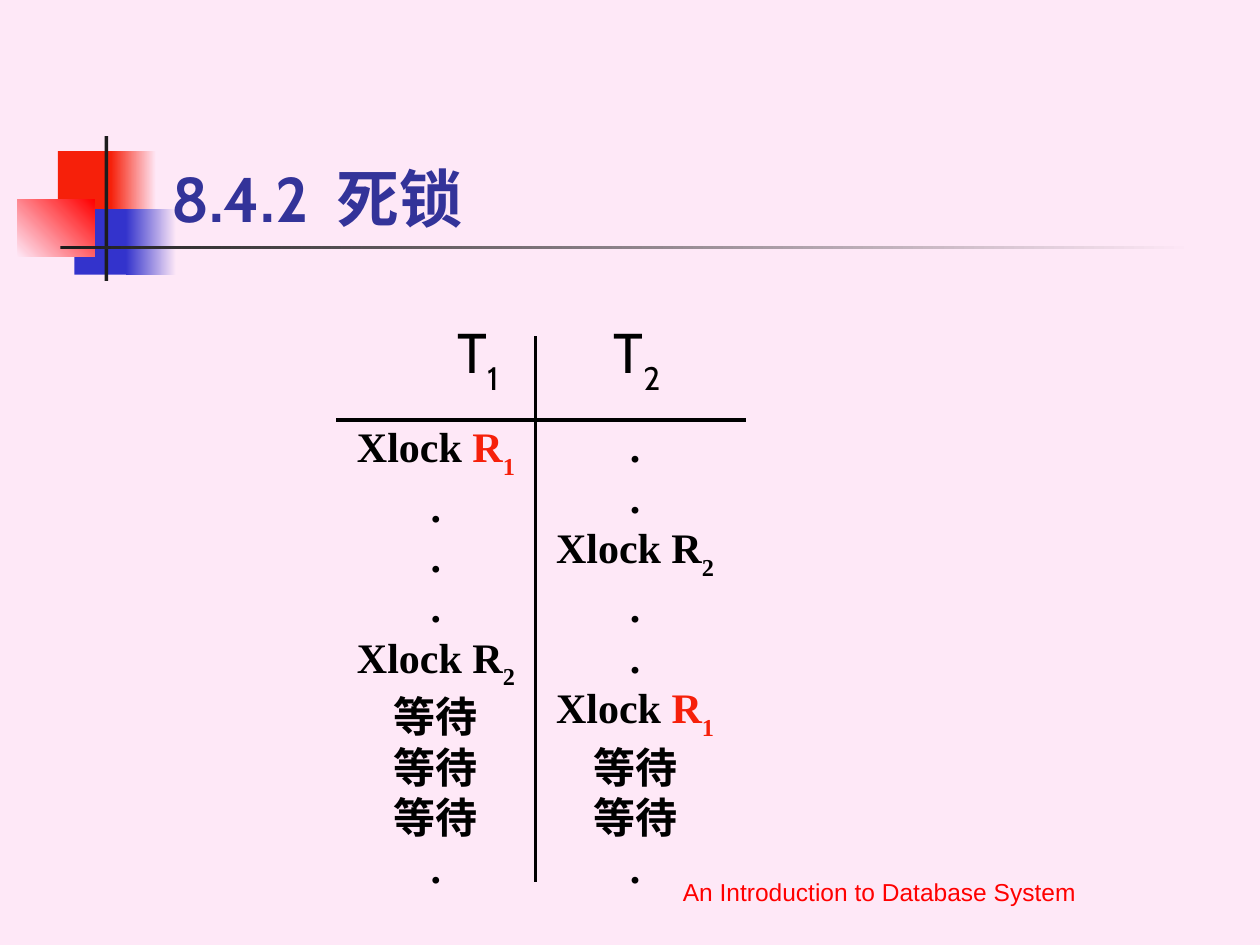
from lxml.etree import SubElement
from pptx import Presentation
from pptx.dml.color import RGBColor
from pptx.enum.shapes import MSO_CONNECTOR, MSO_SHAPE
from pptx.enum.text import MSO_ANCHOR, MSO_AUTO_SIZE, PP_ALIGN
from pptx.oxml.ns import qn
from pptx.util import Inches, Pt

PINK = RGBColor(0xFE, 0xE8, 0xF7)
RED = RGBColor(0xF6, 0x20, 0x0A)
PURE = RGBColor(0xFF, 0, 0)
BLUE = RGBColor(0x33, 0x33, 0xCC)
NAVY = RGBColor(0x33, 0x33, 0x99)
DARK = RGBColor(0x1C, 0x1C, 0x1C)
BLACK = RGBColor(0, 0, 0)

TITLE = "8.4.2  死锁"
FOOT = "An Introduction to Database System"
DOT = [(".", BLACK, False)]
WAIT = [("等待", BLACK, False)]


def lock(num, tint=BLACK):
    return [("Xlock ", BLACK, False), ("R", tint, False), (num, tint, True)]


HEADS = [("T", BLACK, False), ("1", BLACK, True),
         ("\tT", BLACK, False), ("2", BLACK, True)]
STEPS = [
    [lock("1", RED), DOT, DOT, DOT, lock("2"), WAIT, WAIT, WAIT, DOT],
    [DOT, DOT, lock("2"), DOT, DOT, lock("1", RED), WAIT, WAIT, DOT],
]
BLOCKS = [
    ((0.46, 1.2, 0.48, 0.52), (RED,), 0),
    ((0.88, 1.2, 0.36, 0.52), (RED, PINK), 0),
    ((0.59, 1.66, 0.46, 0.52), (BLUE,), 0),
    ((1, 1.66, 0.4, 0.52), (BLUE, PINK), 0),
    ((0.14, 1.58, 0.61, 0.46), (PINK, PURE), 45),
    ((0.83, 1.08, 0.03, 1.15), (DARK,), 0),
    ((0.48, 1.95, 9, 0.03), (DARK, PINK), 0),
]
RULES = [(2.67, 3.33, 5.92, 3.33), (4.25, 2.67, 4.25, 7)]
LEFT, TOP, WIDE, HIGH = 2.67, 3.42, 1.58, 3.58
INSET, GAP = 2.46, 1.24


def block(box, tints, angle):
    shape = slide.shapes.add_shape(MSO_SHAPE.RECTANGLE, *map(Inches, box))
    shape.shadow.inherit = False
    shape.line.fill.background()
    if len(tints) == 1:
        shape.fill.solid()
        shape.fill.fore_color.rgb = tints[0]
        return
    shape.fill.gradient()
    shape.fill.gradient_angle = angle
    for stop, tint in zip(shape.fill.gradient_stops, tints):
        stop.color.rgb = tint


def rule(ends):
    line = slide.shapes.add_connector(MSO_CONNECTOR.STRAIGHT, *map(Inches, ends))
    line.line.color.rgb = BLACK
    line.line.width = Pt(2.25)
    SubElement(line._element.spPr, qn("a:effectLst"))


def write(para, runs, font, size, bold=False):
    for text, tint, low in runs:
        run = para.add_run()
        run.text = text
        run.font.name = font
        run.font.size = Pt(size)
        run.font.bold = bold
        run.font.color.rgb = tint
        if low:
            run._r.get_or_add_rPr().set("baseline", "-30000")


def place(shape, box):
    shape.left, shape.top, shape.width, shape.height = map(Inches, box)
    shape.text_frame.auto_size = MSO_AUTO_SIZE.NONE
    return shape.text_frame


def label(box, anchor, wrap):
    frame = place(slide.shapes.add_textbox(0, 0, 0, 0), box)
    frame.word_wrap = wrap
    frame.vertical_anchor = anchor
    return frame


deck = Presentation()
deck.slide_width, deck.slide_height = Inches(10), Inches(7.5)
slide = deck.slides.add_slide(deck.slide_layouts[1])
slide.background.fill.solid()
slide.background.fill.fore_color.rgb = PINK

for item in BLOCKS:
    block(*item)

para = label((4.37, 6.74, 5.22, 0.5), MSO_ANCHOR.BOTTOM, True).paragraphs[0]
para.alignment = PP_ALIGN.CENTER
write(para, [(FOOT, PURE, False)], "Arial", 14)

title, body = slide.placeholders
frame = place(title, (1.26, 0.67, 8.52, 1.25))
frame.vertical_anchor = MSO_ANCHOR.BOTTOM
frame.paragraphs[0].alignment = PP_ALIGN.LEFT
write(frame.paragraphs[0], [(TITLE, NAVY, False)], "Cabin", 36, True)

frame = place(body, (1.17, 1.75, 8.5, 4.5))
frame.margin_top = Inches(0.77)
frame.margin_left = Inches(INSET)
para = frame.paragraphs[0]
props = para._p.get_or_add_pPr()
props.set("marL", str(Inches(GAP)))
props.set("indent", str(-Inches(GAP)))
SubElement(props, qn("a:buNone"))
para.space_before = Pt(0)
write(para, HEADS, "Cabin", 32)

for ends in RULES:
    rule(ends)

for col, steps in enumerate(STEPS):
    frame = label((LEFT + col * WIDE, TOP, WIDE, HIGH), MSO_ANCHOR.MIDDLE, False)
    for row, runs in enumerate(steps):
        para = frame.add_paragraph() if row else frame.paragraphs[0]
        para.alignment = PP_ALIGN.CENTER
        write(para, runs, "Times New Roman", 24, True)

for shape in (title, body):
    slide.shapes._spTree.append(shape._element)

deck.save("out.pptx")
